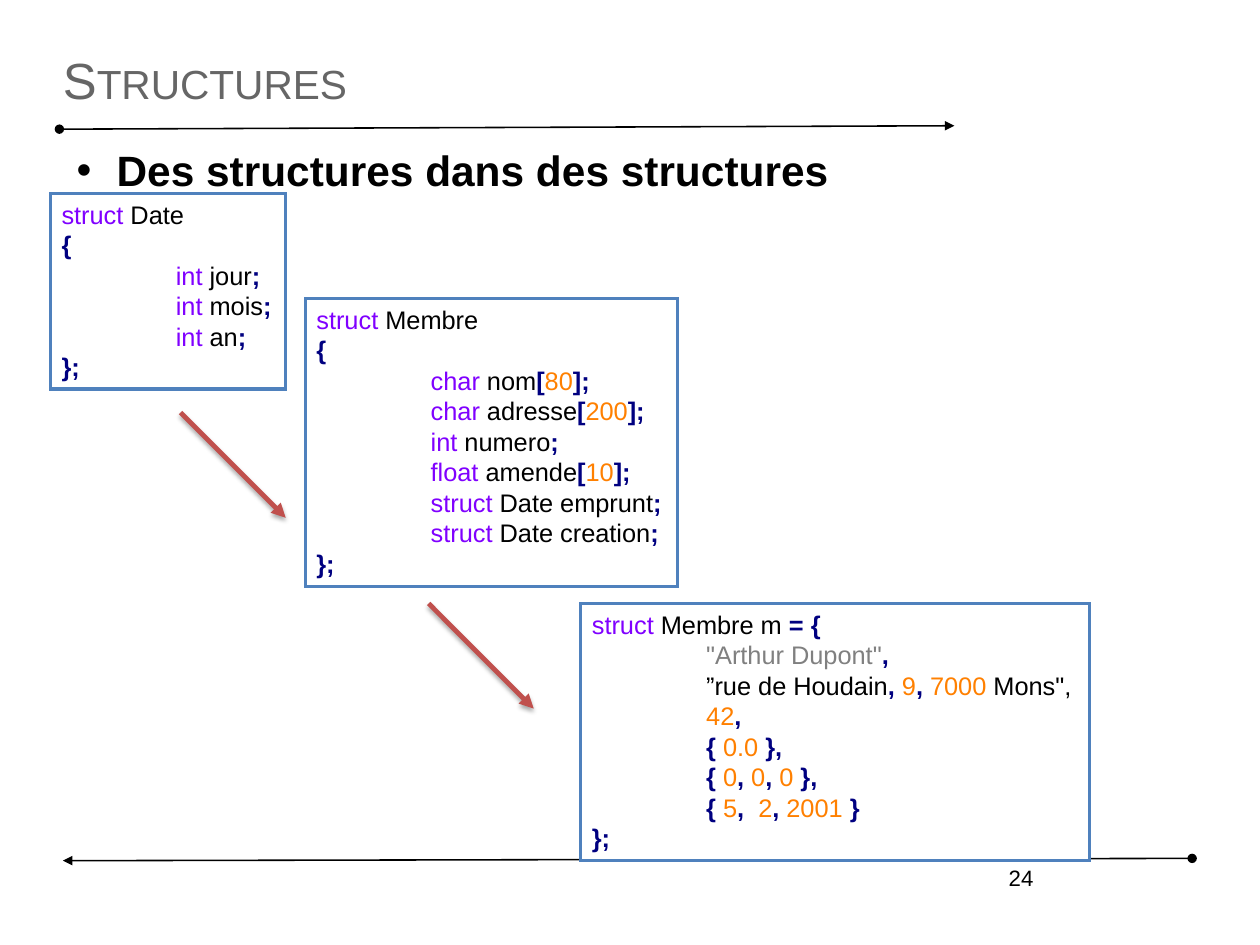
from dataclasses import dataclass
from itertools import groupby

from lxml.etree import SubElement
from pptx import Presentation
from pptx.dml.color import RGBColor
from pptx.enum.shapes import MSO_CONNECTOR as Connector, MSO_SHAPE as Shape
from pptx.enum.text import MSO_ANCHOR as Anchor, MSO_AUTO_SIZE as AutoSize, PP_ALIGN as Align
from pptx.oxml.ns import qn
from pptx.util import Cm, Inches, Pt


@dataclass(frozen=True)
class Theme:
    font: str = "Arial"
    title_size: float = 32
    heading_size: float = 26.7
    code_size: float = 16
    number_size: float = 14
    title: str = "666666"
    text: str = "000000"
    paper: str = "FFFFFF"
    border: str = "4F81BD"
    arrow: str = "C0504D"
    keyword: str = "8000FF"
    operator: str = "000080"
    number: str = "FF8000"
    string: str = "808080"


THEME = Theme()
KEYWORDS = {"struct", "char", "int", "float"}
OPERATORS = "[]{};,="
LINE_ROWS = 2.69  # height of one line of code

DATE_CODE = """struct Date
{
	int jour;
	int mois;
	int an;
};"""

MEMBER_CODE = """struct Membre
{
	char nom[80];
	char adresse[200];
	int numero;
	float amende[10];
	struct Date emprunt;
	struct Date creation;
};"""

VALUE_CODE = """struct Membre m = {
	"Arthur Dupont",
	”rue de Houdain, 9, 7000 Mons",
	42,
	{ 0.0 },
	{ 0, 0, 0 },
	{ 5,  2, 2001 }
};"""


def grid(*cells):
    """Turn columns and rows, ten to the inch, into lengths."""
    return [Inches(cell / 10) for cell in cells]


def color(value):
    return RGBColor.from_string(value)


def set_font(font, size, value, bold=False):
    font.name, font.size, font.bold = THEME.font, Pt(size), bold
    font.color.rgb = color(value)


def set_margins(frame, horizontal=0.0, vertical=0.0):
    frame.margin_left = frame.margin_right = Inches(horizontal)
    frame.margin_top = frame.margin_bottom = Inches(vertical)


def insert_property(paragraph, tag, **attributes):
    """Put a paragraph property in its place, ahead of the default font."""
    properties = paragraph._p.get_or_add_pPr()
    element = properties.makeelement(qn(tag), attributes)
    properties.find(qn("a:defRPr")).addprevious(element)
    return element


def character_kind(character):
    if character in OPERATORS:
        return "operator"
    return "word" if character.isalnum() or character == "." else "gap"


def word_color(kind, word):
    if kind == "operator":
        return THEME.operator
    if word in KEYWORDS:
        return THEME.keyword
    return THEME.number if word[0].isdigit() else THEME.text


def tokens(line):
    """Yield pieces of a code line with their colours; an unclosed string stays plain."""
    before, quote, rest = line.partition('"')
    for kind, characters in groupby(before, character_kind):
        word = "".join(characters)
        yield word, word_color(kind, word)
    if quote:
        literal, closing, after = rest.partition('"')
        yield quote + literal + closing, THEME.string if closing else THEME.text
        yield from tokens(after)


def add_title(slide, text, cells):
    title = slide.shapes.title
    title.left, title.top, title.width, title.height = grid(*cells)
    frame = title.text_frame
    set_margins(frame)
    frame.auto_size, frame.vertical_anchor = AutoSize.NONE, Anchor.MIDDLE
    paragraph = frame.paragraphs[0]
    paragraph.text, paragraph.alignment = text, Align.LEFT
    set_font(paragraph.font, THEME.title_size, THEME.title)
    paragraph.runs[0].font._element.set("cap", "small")


def add_text(slide, text, cells, size, bold=False):
    frame = slide.shapes.add_textbox(*grid(*cells)).text_frame
    frame.word_wrap = True
    paragraph = frame.paragraphs[0]
    paragraph.text = text
    set_font(paragraph.font, size, THEME.text, bold)
    return frame


def add_bullet_heading(slide, text, cells):
    frame = add_text(slide, text, cells, THEME.heading_size, bold=True)
    set_margins(frame)
    paragraph = frame.paragraphs[0]
    paragraph.space_before = Pt(9.4)
    properties = paragraph._p.get_or_add_pPr()
    properties.set("marL", str(Inches(0.47)))
    properties.set("indent", str(Inches(-0.35)))
    insert_property(paragraph, "a:buFont", typeface=THEME.font)
    insert_property(paragraph, "a:buChar", char="•")


def add_slide_number(slide, number, cells):
    frame = add_text(slide, number, cells, THEME.number_size)
    frame.paragraphs[0].alignment = Align.RIGHT


def add_code_box(slide, code, left, top, width):
    lines = code.splitlines()
    box = slide.shapes.add_shape(
        Shape.RECTANGLE, *grid(left, top, width, 1 + LINE_ROWS * len(lines)))
    box.shadow.inherit = False
    box.fill.solid()
    box.fill.fore_color.rgb = color(THEME.paper)
    box.line.color.rgb, box.line.width = color(THEME.border), Pt(2)
    SubElement(box._element.spPr.get_or_add_ln(), qn("a:miter"), lim="800000")
    frame = box.text_frame
    set_margins(frame, 0.1, 0.05)
    frame.word_wrap, frame.auto_size = False, AutoSize.SHAPE_TO_FIT_TEXT
    frame.vertical_anchor = Anchor.TOP
    for index, line in enumerate(lines):
        paragraph = frame.add_paragraph() if index else frame.paragraphs[0]
        paragraph.alignment = Align.LEFT
        set_font(paragraph.font, THEME.code_size, THEME.text)
        tabs = insert_property(paragraph, "a:tabLst")
        SubElement(tabs, qn("a:tab"), pos=str(Inches(1)), algn="l")
        for text, value in tokens(line):
            run = paragraph.add_run()
            run.text = text
            run.font.color.rgb = color(value)
            run.font.bold = value == THEME.operator


def add_arrow(slide, ends, value, width, oval_start=False, shadow=False):
    connector = slide.shapes.add_connector(Connector.STRAIGHT, *grid(*ends))
    connector.line.color.rgb, connector.line.width = color(value), Pt(width)
    properties = connector._element.spPr
    line = properties.get_or_add_ln()
    if oval_start:
        SubElement(line, qn("a:headEnd"), type="oval")
    SubElement(line, qn("a:tailEnd"), type="triangle")
    effects = SubElement(properties, qn("a:effectLst"))
    if shadow:
        outer = SubElement(effects, qn("a:outerShdw"), blurRad=str(Pt(3.1)),
                           dist=str(Pt(1.8)), dir="5400000", rotWithShape="0")
        black = SubElement(outer, qn("a:srgbClr"), val=THEME.text)
        SubElement(black, qn("a:alpha"), val="35000")


def main():
    presentation = Presentation()
    presentation.slide_width = Cm(28)
    presentation.slide_height = Cm(21)
    slide = presentation.slides.add_slide(presentation.slide_layouts[5])

    for ends in ((5.2, 11.3, 83.5, 11), (104.3, 75.1, 5.5, 75.3)):
        add_arrow(slide, ends, THEME.text, 1, oval_start=True)
    add_slide_number(slide, "24", (65.7, 75.1, 25.7, 5.7))
    add_title(slide, "Structures", (5.5, 3.3, 99.2, 7.2))
    add_bullet_heading(slide, "Des structures dans des structures", (5.5, 12.6, 99.2, 61.9))

    add_code_box(slide, MEMBER_CODE, 26.7, 26.1, 32.6)
    add_code_box(slide, VALUE_CODE, 50.8, 52.8, 44.5)
    add_code_box(slide, DATE_CODE, 4.4, 16.9, 20.6)
    for left, top in ((15.8, 36.1), (37.5, 52.8)):
        add_arrow(slide, (left, top, left + 9.2, top + 9.2), THEME.arrow, 3, shadow=True)

    presentation.save("out.pptx")


if __name__ == "__main__":
    main()
